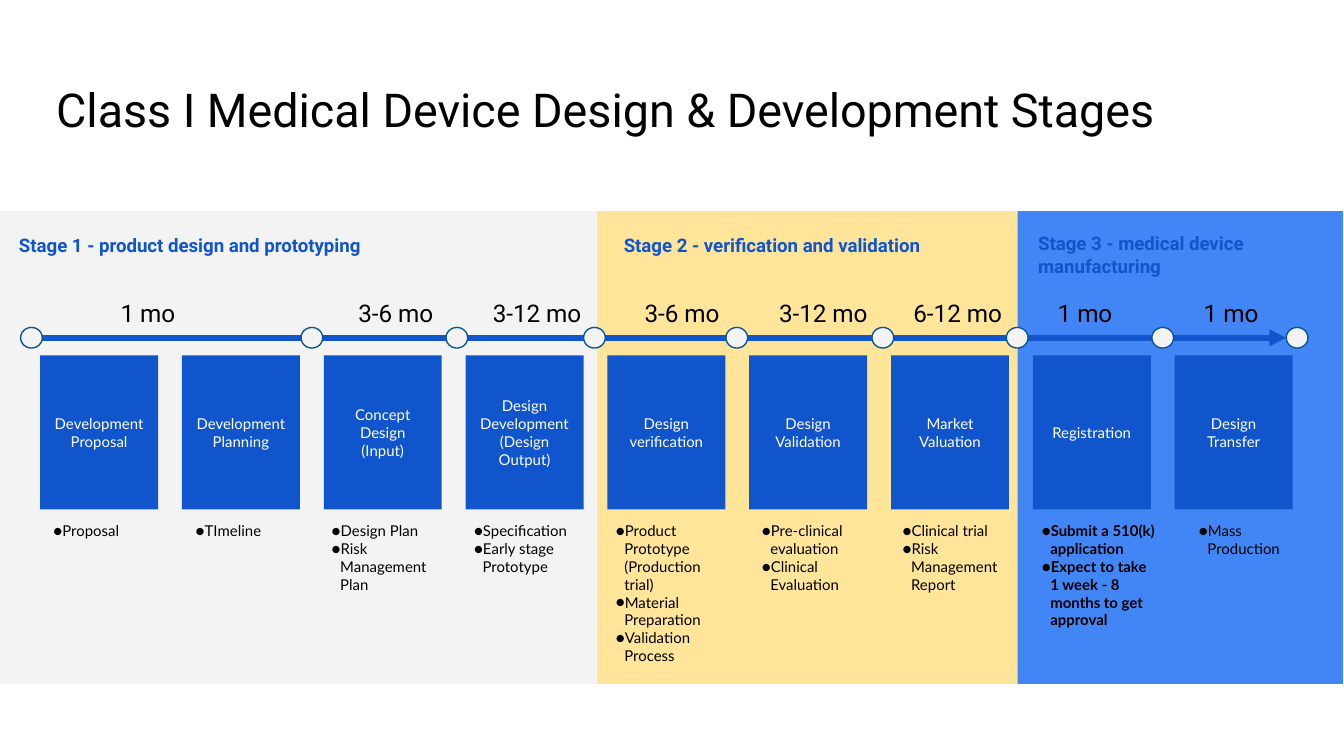
import pptx
import pptx.util
import pptx.dml.color
import pptx.enum.shapes
import pptx.enum.text
import pptx.oxml.ns
from lxml import etree

Cm = pptx.util.Cm
Pt = pptx.util.Pt
Align = pptx.enum.text.PP_ALIGN
Anchor = pptx.enum.text.MSO_ANCHOR
Shape = pptx.enum.shapes.MSO_SHAPE

COLORS = {
    "black": "000000",
    "white": "FFFFFF",
    "step": "1155CC",
    "node_line": "0B5394",
    "grey": "F3F3F3",
    "yellow": "FFE599",
    "blue": "4285F4",
}

BANDS = [(19.23, 6.15, "blue"), (11.28, 7.95, "yellow"), (0, 11.28, "grey")]

STAGES = [
    ("Stage 1 - product design and prototyping", 0.11, 11.35, 0.53),
    ("Stage 2 - verification and validation", 11.54, 6.38, 0.53),
    ("Stage 3 - medical device manufacturing", 19.37, 5.36, 0.89),
]

STEPS = [
    ("Development Proposal", 0.76, ["Proposal"]),
    ("Development Planning", 3.45, ["TImeline"]),
    ("Concept Design (Input)", 6.02, ["Design Plan", "Risk Management Plan"]),
    ("Design Development(Design Output)", 8.71, ["Specification", "Early stage Prototype"]),
    ("Design verification", 11.39,
     ["Product Prototype (Production trial)", "Material Preparation", "Validation Process"]),
    ("Design Validation", 14.15, ["Pre-clinical evaluation", "Clinical Evaluation"]),
    ("Market Valuation", 16.81, ["Clinical trial", "Risk Management Report"]),
    ("Registration", 19.44,
     ["Submit a 510(k) application", "Expect to take 1 week - 8 months to get approval"]),
    ("Design Transfer", 22.41, ["Mass Production"]),
]
STEP_LEFT, STEP_PITCH = 0.76, 2.68

DURATIONS = [
    ("1 mo", 2.03), ("3-6 mo", 6.25), ("3-12 mo", 8.92), ("3-6 mo", 11.66),
    ("3-12 mo", 14.33), ("6-12 mo", 16.87), ("1 mo", 19.74), ("1 mo", 22.5),
]

NODE_LEFTS = [0.39, 5.69, 8.43, 11.03, 13.72, 16.48, 19.02, 21.77, 24.31]
NODE_TOP, NODE_WIDTH, NODE_HEIGHT = 6.19, 0.41, 0.39


def rgb(name):
    return pptx.dml.color.RGBColor.from_string(COLORS[name])


def add_bullet(para, font):
    properties = para._p.get_or_add_pPr()
    properties.set("marL", str(Cm(0.16)))
    properties.set("indent", str(-Cm(0.16)))
    color = etree.SubElement(properties, pptx.oxml.ns.qn("a:buClr"))
    etree.SubElement(color, pptx.oxml.ns.qn("a:srgbClr"), val=COLORS["black"])
    etree.SubElement(properties, pptx.oxml.ns.qn("a:buFont"), typeface=font)
    etree.SubElement(properties, pptx.oxml.ns.qn("a:buChar"), char="●")


def write_text(shape, lines, font, size, color="black", bold=False,
               align=Align.LEFT, anchor=Anchor.MIDDLE, bulleted=False):
    frame = shape.text_frame
    frame.word_wrap = True
    frame.auto_size = pptx.enum.text.MSO_AUTO_SIZE.NONE
    frame.vertical_anchor = anchor
    frame.margin_left = frame.margin_right = Cm(0.25)
    frame.margin_top = frame.margin_bottom = Cm(0.25)
    frame.text = "\n".join(lines)
    for para in frame.paragraphs:
        if bulleted:
            add_bullet(para, font)
        para.alignment = align
        para.font.name = font
        para.font.size = Pt(size)
        para.font.bold = bold
        para.font.color.rgb = rgb(color)


def add_title(page, text):
    title = page.shapes.title
    title.left, title.top = Cm(0.81), Cm(1.27)
    title.width, title.height = Cm(22.45), Cm(1.6)
    write_text(title, [text], "Roboto", 25, anchor=Anchor.TOP)


def add_filled(page, kind, left, top, width, height, fill, line=None):
    shape = page.shapes.add_shape(kind, Cm(left), Cm(top), Cm(width), Cm(height))
    shape.shadow.inherit = False
    shape.fill.solid()
    shape.fill.fore_color.rgb = rgb(fill)
    if line:
        shape.line.color.rgb = rgb(line)
        shape.line.width = Pt(0.75)
    else:
        shape.line.fill.background()
    return shape


def add_label(page, lines, left, top, width, height, font, size, **style):
    box = page.shapes.add_textbox(Cm(left), Cm(top), Cm(width), Cm(height))
    write_text(box, lines, font, size, **style)


def add_step(page, index, name, list_left, items):
    box = add_filled(page, Shape.RECTANGLE, STEP_LEFT + index * STEP_PITCH,
                     6.72, 2.23, 2.91, "step")
    write_text(box, [name], "Lato", 8, color="white", align=Align.CENTER)
    registration = name == "Registration"
    add_label(page, items, list_left, 9.61, 2.67, 2.57 if registration else 1.27,
              "Lato", 8, bold=registration, anchor=Anchor.TOP, bulleted=True)


def add_timeline(page):
    middle = Cm(NODE_TOP + NODE_HEIGHT / 2)
    arrow = page.shapes.add_connector(
        pptx.enum.shapes.MSO_CONNECTOR.STRAIGHT,
        Cm(NODE_LEFTS[0] + NODE_WIDTH), middle, Cm(NODE_LEFTS[-1]), middle)
    arrow.line.color.rgb = rgb("step")
    arrow.line.width = Pt(3)
    etree.SubElement(arrow.line._get_or_add_ln(), pptx.oxml.ns.qn("a:tailEnd"), type="triangle")
    etree.SubElement(arrow._element.spPr, pptx.oxml.ns.qn("a:effectLst"))
    for left in NODE_LEFTS:
        add_filled(page, Shape.OVAL, left, NODE_TOP, NODE_WIDTH, NODE_HEIGHT,
                   "grey", "node_line")


def add_duration(page, text, left):
    single = text == "1 mo"
    add_label(page, [text], left, 5.72, 2.03 if single else 2.46, 0.38, "Roboto", 13,
              align=Align.LEFT if single else Align.CENTER)


def main():
    deck = pptx.Presentation()
    deck.slide_width, deck.slide_height = Cm(25.4), Cm(14.29)
    page = deck.slides.add_slide(deck.slide_layouts[5])
    for left, width, fill in BANDS:
        add_filled(page, Shape.RECTANGLE, left, 3.99, width, 8.94, fill)
    add_title(page, "Class I Medical Device Design & Development Stages")
    for index, (name, list_left, items) in enumerate(STEPS):
        add_step(page, index, name, list_left, items)
    add_timeline(page)
    for text, left in DURATIONS:
        add_duration(page, text, left)
    for text, left, width, height in STAGES:
        add_label(page, [text], left, 4.37, width, height, "Roboto", 10,
                  color="step", bold=True)
    deck.save("out.pptx")


if __name__ == "__main__":
    main()
